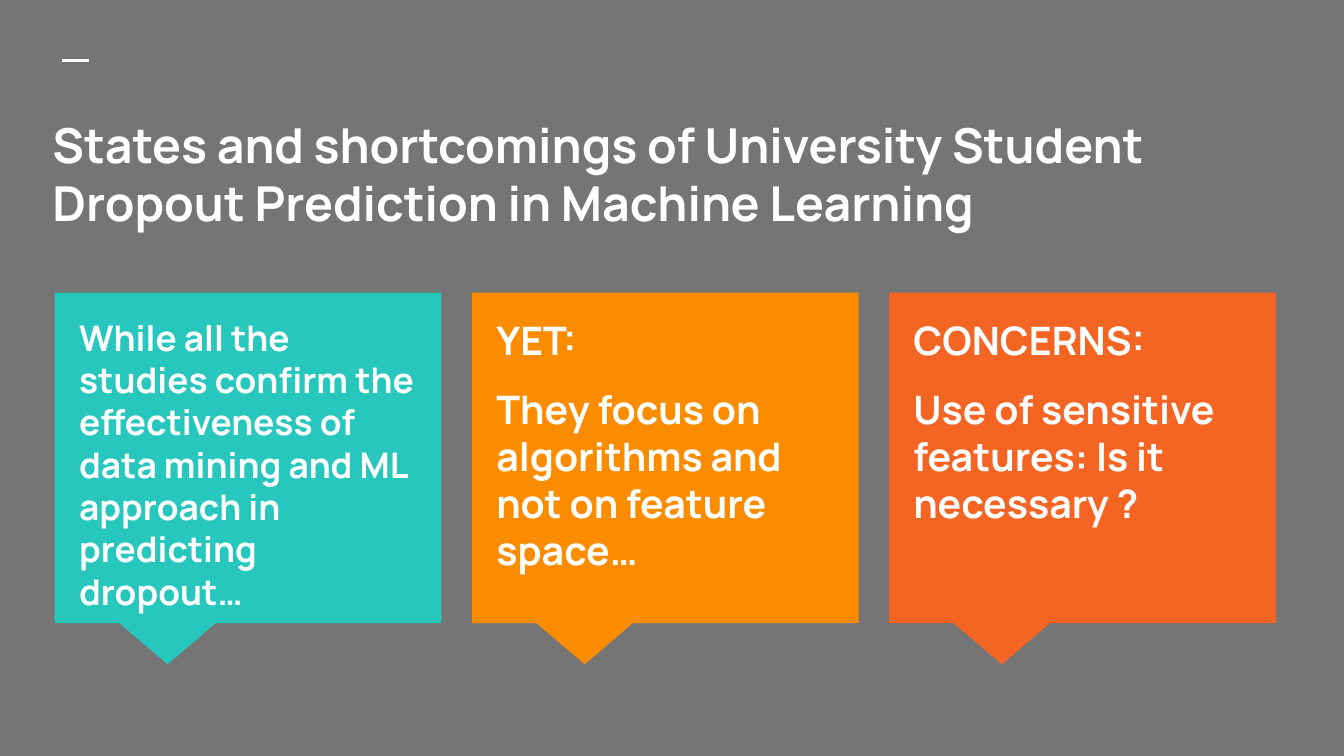
"""Builds a slide with a title over three coloured callouts."""
from pptx import Presentation
from pptx.dml.color import RGBColor
from pptx.enum import shapes, text
from pptx.oxml import ns
from pptx.util import Pt

GREY = RGBColor(0x75, 0x75, 0x75)
WHITE = RGBColor(0xFF, 0xFF, 0xFF)
TEAL = RGBColor(0x27, 0xC7, 0xBD)
AMBER = RGBColor(0xFB, 0x8C, 0x00)
ORANGE = RGBColor(0xF4, 0x65, 0x24)


class CalloutSlide:
    """Holds the slide and its text style."""

    font = "Manrope"
    inset = Pt(7.2)
    gap = Pt(12)

    def __init__(self, deck):
        self.slide = deck.slides.add_slide(deck.slide_layouts[5])
        fill = self.slide.background.fill
        fill.solid()
        fill.fore_color.rgb = GREY

    def fill_text(self, frame, paragraphs, size):
        """Fills a text frame with bold white paragraphs."""
        frame.word_wrap = True
        frame.auto_size = text.MSO_AUTO_SIZE.NONE
        frame.vertical_anchor = text.MSO_ANCHOR.TOP
        frame.margin_left = frame.margin_right = self.inset
        frame.margin_top = frame.margin_bottom = self.inset
        for index, wording in enumerate(paragraphs):
            paragraph = frame.add_paragraph() if index else frame.paragraphs[0]
            paragraph.text = wording
            paragraph.alignment = text.PP_ALIGN.LEFT
            paragraph.space_before = self.gap if index else Pt(0)
            paragraph.font.name = self.font
            paragraph.font.size = Pt(size)
            paragraph.font.bold = True
            paragraph.font.color.rgb = WHITE

    def dash(self, left, top, width):
        """Draws the short rule above the title."""
        rule = self.slide.shapes.add_connector(
            shapes.MSO_CONNECTOR.STRAIGHT, left, top, left + width, top)
        rule.line.color.rgb = WHITE
        rule.line.width = Pt(1.5)
        properties = rule._element.spPr
        properties.append(properties.makeelement(ns.qn("a:effectLst"), {}))

    def title(self, wording, left, top, width, height):
        """Places the title placeholder."""
        heading = self.slide.shapes.title
        heading.left, heading.top = left, top
        heading.width, heading.height = width, height
        self.fill_text(heading.text_frame, [wording], 25.8)

    def callout(self, left, color, paragraphs, size):
        """Draws one callout with its text."""
        bubble = self.slide.shapes.add_shape(
            shapes.MSO_SHAPE.RECTANGULAR_CALLOUT, left, Pt(156.8), Pt(207.2), Pt(177))
        bubble.adjustments[0] = -0.208
        bubble.adjustments[1] = 0.625
        bubble.shadow.inherit = False
        bubble.fill.solid()
        bubble.fill.fore_color.rgb = color
        bubble.line.fill.background()
        statement = self.slide.shapes.add_textbox(
            left + Pt(6), Pt(162), Pt(195), Pt(157.7))
        self.fill_text(statement.text_frame, paragraphs, size)


def main():
    """Builds and saves the slide."""
    deck = Presentation()
    deck.slide_width, deck.slide_height = Pt(720), Pt(405)
    page = CalloutSlide(deck)
    page.dash(Pt(33.5), Pt(32.4), Pt(14.4))
    page.title(
        "States and shortcomings of University Student Dropout Prediction in Machine Learning",
        Pt(20.9), Pt(54.7), Pt(679), Pt(80.6))
    callouts = [
        (TEAL, ["While all the studies confirm the effectiveness of data mining "
                "and ML approach in predicting dropout…"], 18.9),
        (AMBER, ["YET:", "They focus on algorithms and not on feature space…"], 21),
        (ORANGE, ["CONCERNS:", "Use of sensitive features: Is it necessary ?"], 21),
    ]
    for column, (color, paragraphs, size) in enumerate(callouts):
        page.callout(Pt(29.3 + column * 223.5), color, paragraphs, size)
    deck.save("out.pptx")


if __name__ == "__main__":
    main()
